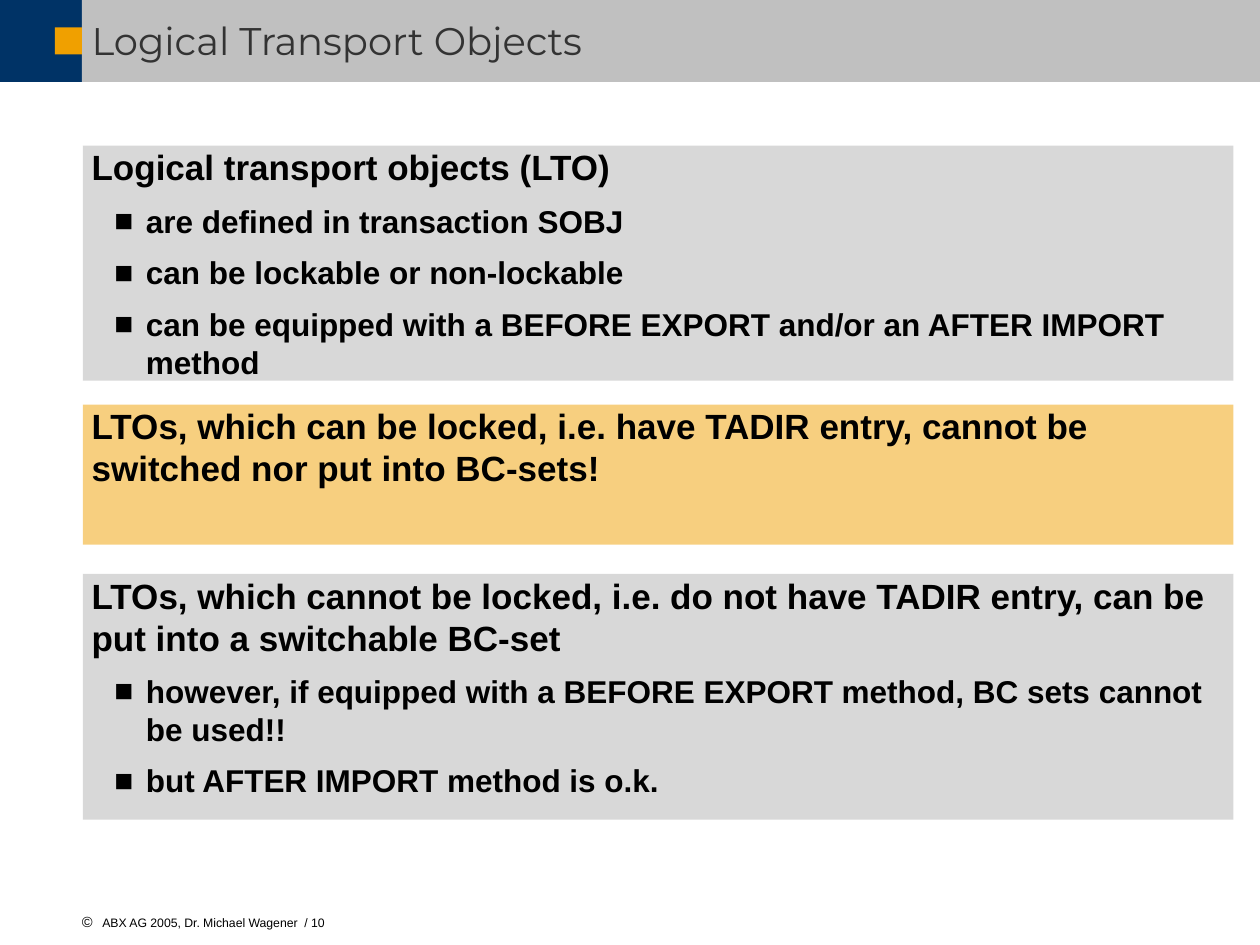
"""Build the slide on logical transport objects."""
from lxml import etree
from pptx import Presentation
from pptx.dml.color import RGBColor
from pptx.enum.shapes import MSO_SHAPE
from pptx.enum.text import MSO_ANCHOR, PP_ALIGN
from pptx.oxml.ns import qn
from pptx.util import Pt

RECTANGLE = MSO_SHAPE.RECTANGLE
TOP, MIDDLE = MSO_ANCHOR.TOP, MSO_ANCHOR.MIDDLE
LEFT = PP_ALIGN.LEFT

NAVY = RGBColor(0x00, 0x33, 0x66)
SILVER = RGBColor(0xC0, 0xC0, 0xC0)
ORANGE = RGBColor(0xF0, 0xA0, 0x00)
GRAY = RGBColor(0xB2, 0xB2, 0xB2)
CHARCOAL = RGBColor(0x33, 0x33, 0x33)
BLACK = RGBColor(0x00, 0x00, 0x00)

SLIDE_WIDTH, SLIDE_HEIGHT = 720, 540
HEADER = 46.8
MARKER = 15.4
PANEL_LEFT, PANEL_WIDTH = 47.4, 657.4
HEADING_INDENT = 5

TITLE = "Logical Transport Objects"
FOOTER = "ABX AG 2005, Dr. Michael Wagener  / 10"
PANELS = [
    (83.3, 134.2, GRAY, "Logical transport objects (LTO)", [
        "are defined in transaction SOBJ",
        "can be lockable or non-lockable",
        "can be equipped with a BEFORE EXPORT and/or an AFTER IMPORT method",
    ]),
    (231.3, 80, ORANGE,
     "LTOs, which can be locked, i.e. have TADIR entry, cannot be "
     "switched nor put into BC-sets!", []),
    (328, 140.4, GRAY,
     "LTOs, which cannot be locked, i.e. do not have TADIR entry, can be "
     "put into a switchable BC-set", [
         "however, if equipped with a BEFORE EXPORT method, BC sets cannot be used!!",
         "but AFTER IMPORT method is o.k.",
     ]),
]


def add_block(slide, left, top, width, height, color, opacity=100):
    block = slide.shapes.add_shape(RECTANGLE, Pt(left), Pt(top), Pt(width), Pt(height))
    block.shadow.inherit = False
    block.line.fill.background()
    block.fill.solid()
    block.fill.fore_color.rgb = color
    if opacity < 100:
        tint = block._element.spPr.find(qn("a:solidFill")).find(qn("a:srgbClr"))
        etree.SubElement(tint, qn("a:alpha"), val=str(opacity * 1000))
    return block


def prepare_frame(shape, anchor):
    frame = shape.text_frame
    frame.word_wrap = True
    frame.vertical_anchor = anchor
    frame.margin_left = frame.margin_right = frame.margin_top = frame.margin_bottom = 0
    return frame


def write(paragraph, text, size, color=BLACK, font="Arial", bold=False, indent=HEADING_INDENT):
    paragraph.alignment = LEFT
    paragraph._p.get_or_add_pPr().set("marL", str(Pt(indent)))
    run = paragraph.add_run()
    run.text = text
    run.font.size = Pt(size)
    run.font.name = font
    run.font.bold = bold
    run.font.color.rgb = color


def add_bullet(paragraph, mark, hanging, percent=100):
    properties = paragraph._p.get_or_add_pPr()
    properties.set("indent", str(-Pt(hanging)))
    mark_color = etree.SubElement(properties, qn("a:buClr"))
    etree.SubElement(mark_color, qn("a:srgbClr"), val=str(BLACK))
    etree.SubElement(properties, qn("a:buSzPct"), val=str(percent * 1000))
    etree.SubElement(properties, qn("a:buFont"), typeface="Arial")
    etree.SubElement(properties, qn("a:buChar"), char=mark)


def add_line(slide, left, top, width, height):
    box = slide.shapes.add_textbox(Pt(left), Pt(top), Pt(width), Pt(height))
    line = prepare_frame(box, MIDDLE).paragraphs[0]
    line.line_spacing = 0.9
    return line


def add_panel(slide, top, height, color, heading, points):
    panel = add_block(slide, PANEL_LEFT, top, PANEL_WIDTH, height, color, opacity=50)
    frame = prepare_frame(panel, TOP)
    write(frame.paragraphs[0], heading, 20, bold=True)
    for point in points:
        item = frame.add_paragraph()
        item.level = 1
        item.space_before = Pt(7.9)
        write(item, point, 18, bold=True, indent=36)
        add_bullet(item, "■", 18)


def main():
    presentation = Presentation()
    presentation.slide_width = Pt(SLIDE_WIDTH)
    presentation.slide_height = Pt(SLIDE_HEIGHT)
    slide = presentation.slides.add_slide(presentation.slide_layouts[6])

    add_block(slide, 0, 0, HEADER, HEADER, NAVY)
    add_block(slide, HEADER, 0, SLIDE_WIDTH - HEADER, HEADER, SILVER)
    add_block(slide, HEADER - MARKER, (HEADER - MARKER) / 2, MARKER, MARKER, ORANGE)

    title = add_line(slide, PANEL_LEFT, 9.4, PANEL_WIDTH, 30)
    write(title, TITLE, 22, CHARCOAL, "Montserrat")

    for panel in PANELS:
        add_panel(slide, *panel)

    footer = add_line(slide, HEADER, 523.8, 281.5, 7.9)
    write(footer, FOOTER, 7, indent=11.7)
    add_bullet(footer, "©", 11.7, percent=120)

    presentation.save("out.pptx")


if __name__ == "__main__":
    main()
